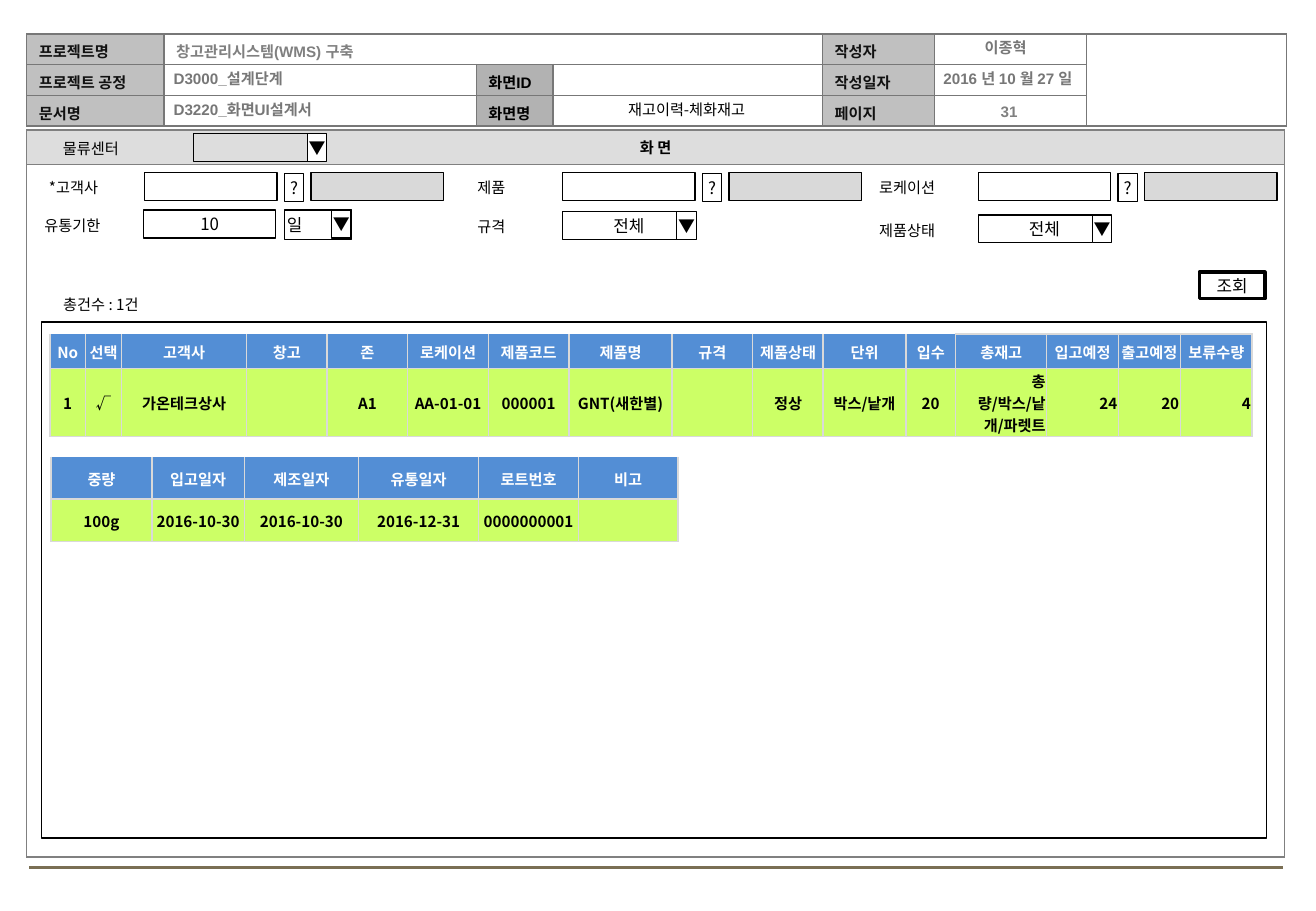
from dataclasses import dataclass, replace
from typing import Optional

from lxml.etree import SubElement
from pptx import Presentation
from pptx.dml.color import RGBColor
from pptx.enum.shapes import MSO_CONNECTOR, MSO_SHAPE
from pptx.enum.text import MSO_ANCHOR, PP_ALIGN
from pptx.oxml.ns import qn
from pptx.util import Inches, Pt

BLACK = RGBColor(0x00, 0x00, 0x00)
WHITE = RGBColor(0xFF, 0xFF, 0xFF)
INK = RGBColor(0x11, 0x11, 0x11)
GRAY = RGBColor(0x77, 0x77, 0x77)
MID_GRAY = RGBColor(0x80, 0x80, 0x80)
SILVER = RGBColor(0xC0, 0xC0, 0xC0)
DARK_SILVER = RGBColor(0xB2, 0xB2, 0xB2)
BAND = RGBColor(0xDD, 0xDD, 0xDD)
LOCKED = RGBColor(0xD9, 0xD9, 0xD9)
BLUE = RGBColor(0x53, 0x8E, 0xD5)
LIME = RGBColor(0xCC, 0xFF, 0x66)
BROWN = RGBColor(0x7A, 0x6F, 0x54)

ARIAL = "Arial"
NOTO = "Noto Sans CJK KR"
LEFT, CENTER, RIGHT = PP_ALIGN.LEFT, PP_ALIGN.CENTER, PP_ALIGN.RIGHT


@dataclass
class CellLook:
    fill: Optional[RGBColor] = None
    color: RGBColor = BLACK
    font: str = NOTO
    align: PP_ALIGN = CENTER
    margins: tuple = (0.1, 0.1, 0.1, 0)
    border: RGBColor = LOCKED
    top_border: bool = True


class WireframePage:
    STEP = 0.1
    FIELD_WIDTH = 10.9
    FIELD_HEIGHT = 2.3
    LABEL_WIDTH = 11.7
    BUTTON_WIDTH = 1.6

    def __init__(self, deck):
        self.page = deck.slides.add_slide(deck.slide_layouts[6])

    def grid(self, *steps):
        return [Inches(step * self.STEP) for step in steps]

    def add_text(self, para, text, size=9, color=BLACK, font=NOTO, bold=False, align=CENTER):
        para.alignment = align
        span = para.add_run()
        span.text = text
        span.font.size = Pt(size)
        span.font.bold = bold
        span.font.name = font
        span.font.color.rgb = color
        SubElement(span.font._element, qn("a:ea"), typeface=NOTO)

    def label(self, text, col, row, width=LABEL_WIDTH, **look):
        box = self.page.shapes.add_textbox(*self.grid(col, row, width, 2.5))
        box.text_frame.word_wrap = True
        self.add_text(box.text_frame.paragraphs[0], text, **look)

    def box(self, col, row, width, height, text="", fill=None, line=0.75, align=CENTER):
        box = self.page.shapes.add_shape(MSO_SHAPE.RECTANGLE, *self.grid(col, row, width, height))
        box.shadow.inherit = False
        self.paint(box.fill, fill)
        box.line.color.rgb = BLACK
        box.line.width = Pt(line)
        if text:
            frame = box.text_frame
            frame.word_wrap = False
            frame.vertical_anchor = MSO_ANCHOR.MIDDLE
            frame.margin_left, frame.margin_top, frame.margin_right, frame.margin_bottom = self.grid(
                0.2, 0.4, 0.2, 0.4)
            self.add_text(frame.paragraphs[0], text, size=10, align=align)

    def paint(self, fill, color):
        if color is None:
            fill.background()
        else:
            fill.solid()
            fill.fore_color.rgb = color

    def field(self, label, col, row, text="", align=CENTER):
        self.label(label, col - self.LABEL_WIDTH, row, align=align)
        self.box(col, row, self.FIELD_WIDTH, self.FIELD_HEIGHT, text)

    def lookup(self, label, col, row):
        self.field(label, col, row)
        self.box(col + 11.5, row + 0.1, self.BUTTON_WIDTH, self.FIELD_HEIGHT, "?", WHITE)
        self.box(col + 13.7, row, self.FIELD_WIDTH, self.FIELD_HEIGHT, fill=LOCKED)

    def arrow_button(self, right, row):
        self.box(right - self.BUTTON_WIDTH, row, self.BUTTON_WIDTH, self.FIELD_HEIGHT, "▼", WHITE)

    def dropdown(self, label, col, row, text="", align=CENTER):
        self.field(label, col, row, text, align)
        self.arrow_button(col + self.FIELD_WIDTH + 0.1, row)

    def rule(self, start, row, end, color, weight):
        left, top, right = self.grid(start, row, end)
        line = self.page.shapes.add_connector(MSO_CONNECTOR.STRAIGHT, left, top, right, top)
        line.line.color.rgb = color
        line.line.width = Pt(weight)
        SubElement(line._element.spPr, qn("a:effectLst"))

    def border(self, cell, side, color):
        edge = SubElement(cell._tc.get_or_add_tcPr(), qn(f"a:ln{side}"), w=str(Pt(1)))
        if color is None:
            SubElement(edge, qn("a:noFill"))
        else:
            SubElement(SubElement(edge, qn("a:solidFill")), qn("a:srgbClr"), val=str(color))

    def cell(self, cell, text, look):
        for side in "LRTB":
            shown = side != "T" or look.top_border
            self.border(cell, side, look.border if shown else None)
        self.paint(cell.fill, look.fill)
        cell.vertical_anchor = MSO_ANCHOR.MIDDLE
        cell.margin_left, cell.margin_top, cell.margin_right, cell.margin_bottom = self.grid(*look.margins)
        para = cell.text_frame.paragraphs[0]
        if text:
            self.add_text(para, text, color=look.color, font=look.font, bold=True, align=look.align)
        else:
            SubElement(para._p, qn("a:endParaRPr"), sz="900")

    def table(self, col, row, widths, heights, texts, look_at, merges=()):
        frame = self.page.shapes.add_table(
            len(heights), len(widths), *self.grid(col, row, sum(widths), sum(heights)))
        table = frame.table
        table.first_row = table.horz_banding = False
        for column, width in zip(table.columns, self.grid(*widths)):
            column.width = width
        for line, height in zip(table.rows, self.grid(*heights)):
            line.height = height
        for r, line in enumerate(texts):
            for c, text in enumerate(line):
                self.cell(table.cell(r, c), text, look_at(r, c))
        for first, last in merges:
            table.cell(*first).merge(table.cell(*last))


def title_look(row, col):
    look = CellLook(color=INK, font=ARIAL, align=LEFT, margins=(1, 0.5, 1, 0.2), border=GRAY)
    if col in (0, 4):
        return replace(look, fill=SILVER)
    if col == 2 and row > 0:
        return replace(look, fill=DARK_SILVER, color=BLACK)
    return replace(look, color=MID_GRAY)


def screen_look(row, col):
    return CellLook(fill=None if row else BAND, font=ARIAL, margins=(0.2, 0, 0.2, 0), border=MID_GRAY)


def data_look(row, col):
    if row == 0:
        return CellLook(fill=BLUE, color=WHITE, top_border=col >= 12)
    return CellLook(fill=LIME, align=RIGHT if col >= 12 else CENTER)


def main():
    deck = Presentation()
    deck.slide_width, deck.slide_height = Inches(10.83), Inches(7.5)
    page = WireframePage(deck)

    page.rule(2.4, 71.4, 105.6, BROWN, 1.75)
    page.table(
        2.2, 2.8, [11.3, 25.7, 6.3, 22.2, 9.2, 12.5, 16.5], [2.53] * 3,
        [["프로젝트명", "창고관리시스템(WMS) 구축", "", "", "작성자", "", ""],
         ["프로젝트 공정", "", "화면ID", "", "작성일자", "", ""],
         ["문서명", "", "화면명", "", "페이지", "", ""]],
        title_look, [((0, 1), (0, 3)), ((0, 6), (2, 6))])
    for text, row in (("D3000_설계단계", 5.2), ("D3220_화면UI설계서", 7.8)):
        page.label(text, 13.3, row, 54.2, color=GRAY, font=ARIAL, bold=True, align=LEFT)
    page.table(2.2, 10.7, [103.5], [2.85, 57], [["화 면"], [""]], screen_look)
    page.label("31", 76.8, 7.9, 12.5, color=MID_GRAY, font=ARIAL, bold=True)
    page.label("재고이력-체화재고", 45.6, 7.8, 21.8)
    page.label("2016 년 10 월 27 일", 75.1, 5.2, 15.7, color=GRAY, font=ARIAL, bold=True)
    page.label("이종혁", 74.9, 2.7, 15.7, color=GRAY, bold=True)

    page.box(3.4, 26.5, 100.8, 42.5)
    page.box(98.7, 22.4, 5.4, 2.2, "조회", WHITE, line=2)
    page.label("총건수 : 1건", 3.2, 23.8, 10.2)

    page.dropdown("물류센터", 15.9, 11, align=LEFT)
    for label, col in (("*고객사", 11.9), ("제품", 46.3), ("로케이션", 80.5)):
        page.lookup(label, col, 14.2)
    page.field("유통기한", 11.8, 17.3, "10")
    page.box(23.4, 17.3, 5.5, 2.4, "일", align=LEFT)
    page.arrow_button(28.9, 17.3)
    page.dropdown("규격", 46.3, 17.4, "전체")
    page.dropdown("제품상태", 80.5, 17.7, "전체")

    page.table(
        4.1, 27.5,
        [2.95, 2.95, 10.3, 6.63, 6.63, 6.63, 6.63, 8.5, 6.63, 5.8, 6.8, 4.1, 7.5, 5.9, 5.1, 5.9],
        [2.85, 5.6],
        [["No", "선택", "고객사", "창고", "존", "로케이션", "제품코드", "제품명", "규격", "제품상태",
          "단위", "입수", "총재고", "입고예정", "출고예정", "보류수량"],
         ["1", "√", "가온테크상사", "", "A1", "AA-01-01", "000001", "GNT(새한별)", "", "정상",
          "박스/낱개", "20", "총량/박스/낱개/파렛트", "24", "20", "4"]],
        data_look)
    page.table(
        4.2, 37.6, [8.3, 7.6, 9.4, 9.9, 8.2, 8.2], [3.5, 3.5],
        [["중량", "입고일자", "제조일자", "유통일자", "로트번호", "비고"],
         ["100g", "2016-10-30", "2016-10-30", "2016-12-31", "0000000001", ""]],
        data_look)
    deck.save("out.pptx")


if __name__ == "__main__":
    main()
